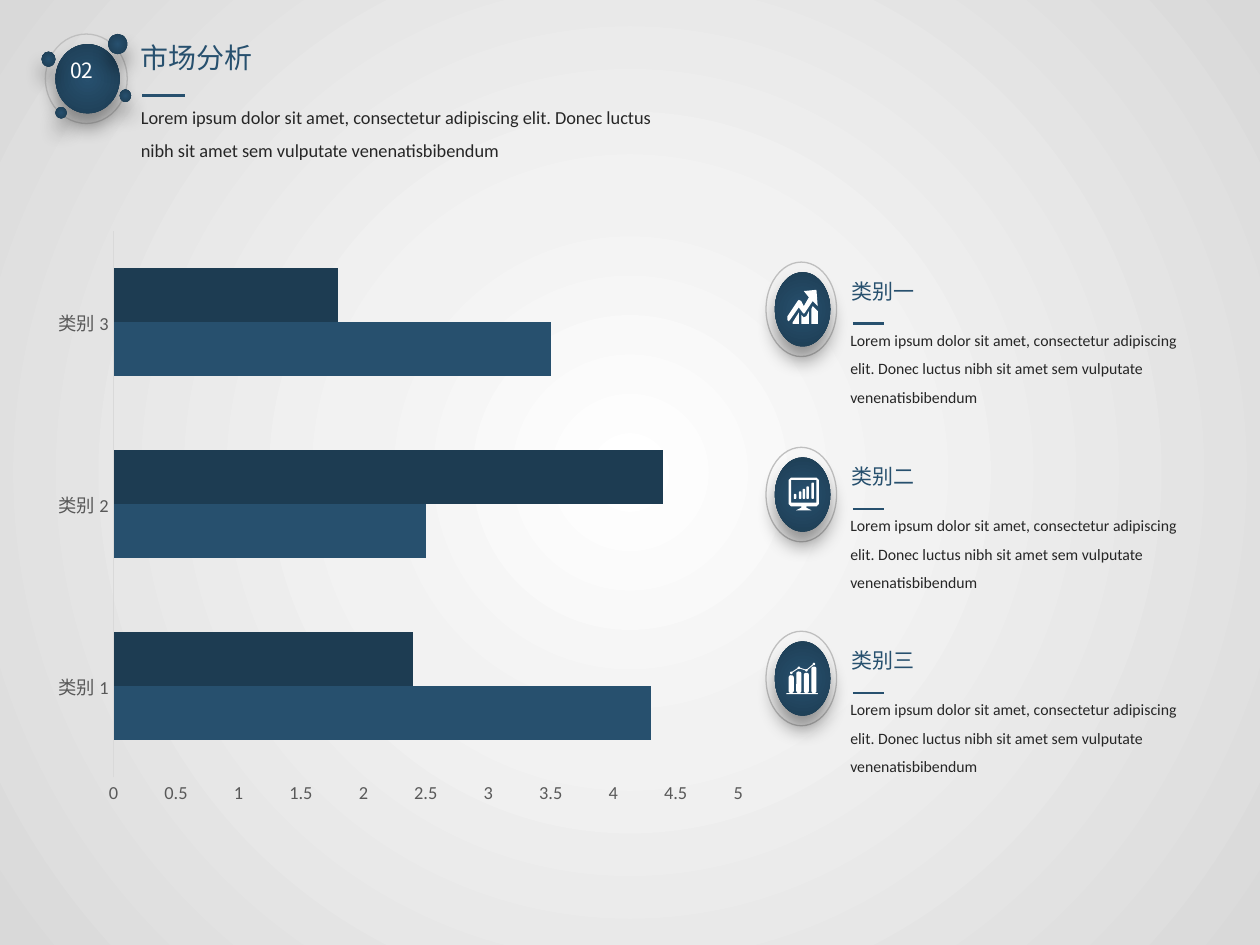
from itertools import pairwise

from lxml import etree
from pptx import Presentation
from pptx.chart.data import CategoryChartData
from pptx.dml.color import RGBColor
from pptx.enum.chart import XL_CHART_TYPE, XL_TICK_MARK
from pptx.enum.shapes import MSO_CONNECTOR, MSO_SHAPE
from pptx.enum.text import MSO_AUTO_SIZE
from pptx.oxml.ns import qn
from pptx.util import Inches, Pt

OVAL = MSO_SHAPE.OVAL
ROUNDED = MSO_SHAPE.ROUNDED_RECTANGLE
STRAIGHT = MSO_CONNECTOR.STRAIGHT
BAR = XL_CHART_TYPE.BAR_CLUSTERED
NO_TICK = XL_TICK_MARK.NONE
FIT_SHAPE = MSO_AUTO_SIZE.SHAPE_TO_FIT_TEXT
CJK_FONT, LATIN_FONT = "Noto Sans CJK SC", "Calibri"

COLORS = {
    "blue": "27506E", "navy": "1D3C52", "ring": "BFBFBF", "body": "262626",
    "label": "595959", "axis": "D9D9D9", "white": "FFFFFF", "pale": "F2F2F2", "black": "000000",
}
BADGE_STOPS = [(0, "blue"), (100, "navy")]
BACKGROUND_STOPS = [(0, "white"), (35, "pale"), (100, "axis")]

LOREM = ("Lorem ipsum dolor sit amet, consectetur adipiscing elit. "
         "Donec luctus nibh sit amet sem vulputate venenatisbibendum")
CATEGORIES = ["类别 1", "类别 2", "类别 3"]
SERIES = [("Series 1", "blue", (4.3, 2.5, 3.5)), ("Series 2", "navy", (2.4, 4.4, 1.8))]

HEADER_RING = (0.36, 0.27, 0.65, 0.71)
HEADER_DISCS = [(0.44, 0.35, 0.51, 0.55), (0.86, 0.27, 0.15, 0.16), (0.33, 0.41, 0.11, 0.12),
                (0.44, 0.85, 0.09, 0.09), (0.95, 0.71, 0.09, 0.1)]

GROWTH_ICON = {
    "outlines": [
        [[(6.45, 2.43), (6.44, 2.45), (6.44, 2.57), (6.49, 2.57), (6.49, 2.47)]],
        [[(6.25, 2.54), (6.25, 2.51), (6.33, 2.39), (6.34, 2.38), (6.36, 2.39), (6.38, 2.43),
          (6.42, 2.36), (6.38, 2.31), (6.48, 2.3), (6.49, 2.43), (6.45, 2.39), (6.39, 2.48),
          (6.38, 2.49), (6.37, 2.48), (6.34, 2.44), (6.27, 2.54), (6.26, 2.55)]],
        [[(6.36, 2.5), (6.38, 2.52), (6.4, 2.51), (6.42, 2.47), (6.42, 2.57), (6.36, 2.57)]],
        [[(6.29, 2.57), (6.34, 2.57), (6.34, 2.48), (6.29, 2.56)]],
    ],
}
MONITOR_ICON = {
    "outlines": [
        [[(6.28, 3.79), (6.48, 3.79), (6.5, 3.81), (6.5, 4), (6.48, 4.02), (6.4, 4.02),
          (6.4, 4.03), (6.44, 4.05), (6.32, 4.05), (6.36, 4.03), (6.36, 4.02), (6.28, 4.02),
          (6.26, 4), (6.26, 3.81)],
         [(6.28, 3.81), (6.28, 3.99), (6.48, 3.99), (6.48, 3.81)]],
    ],
    "bars": [(left, top, 0.02, 3.96 - top) for left, top in
             [(6.3, 3.92), (6.34, 3.9), (6.37, 3.88), (6.4, 3.86), (6.44, 3.83)]],
}
BARS_ICON = {
    "bars": [(6.24, 5.5, 0.25, 0.01)] + [
        (left, top, 0.04, 5.5 - top) for left, top in
        [(6.26, 5.36), (6.32, 5.33), (6.38, 5.34), (6.44, 5.29)]],
    "trend": [(6.28, 5.34), (6.34, 5.3), (6.4, 5.32), (6.46, 5.27)],
}
ITEMS = [
    (2.08, "类别一", CJK_FONT, GROWTH_ICON),
    (3.55, "类别二", CJK_FONT, MONITOR_ICON),
    (5.01, "类别三", "Arial", BARS_ICON),
]


def color(name):
    return RGBColor.from_string(COLORS[name])


def box(values):
    return [Inches(value) for value in values]


def set_radial_gradient(owner, fill, stops):
    fill.gradient()
    gradient = owner.find(".//" + qn("a:gradFill"))
    for child in list(gradient):
        gradient.remove(child)
    stop_list = etree.SubElement(gradient, qn("a:gsLst"))
    for position, name in stops:
        stop = etree.SubElement(stop_list, qn("a:gs"), pos=str(position * 1000))
        etree.SubElement(stop, qn("a:srgbClr"), val=COLORS[name])
    route = etree.SubElement(gradient, qn("a:path"), **{"path": "circle"})
    etree.SubElement(route, qn("a:fillToRect"), **dict.fromkeys("ltrb", "50000"))


def add_shadow(shape):
    effects = shape._element.spPr.find(qn("a:effectLst"))
    shadow = etree.SubElement(effects, qn("a:outerShdw"), blurRad=str(Pt(11)), dist=str(Pt(8)),
                              dir="5400000", algn="t", rotWithShape="0")
    shade = etree.SubElement(shadow, qn("a:srgbClr"), val=COLORS["black"])
    etree.SubElement(shade, qn("a:alpha"), val="40000")


def style_white(shape):
    shape.shadow.inherit = False
    shape.fill.solid()
    shape.fill.fore_color.rgb = color("white")
    shape.line.fill.background()


def add_badge(shapes, ring_position, disc_positions):
    group = shapes.add_group_shape()
    ring = group.shapes.add_shape(OVAL, *box(ring_position))
    ring.shadow.inherit = False
    ring.fill.background()
    ring.line.color.rgb = color("ring")
    ring.line.width = Pt(0.75)
    for position in disc_positions:
        disc = group.shapes.add_shape(OVAL, *box(position))
        disc.shadow.inherit = False
        set_radial_gradient(disc._element.spPr, disc.fill, BADGE_STOPS)
        disc.line.fill.background()
        add_shadow(disc)


def add_line(shapes, start, end, color_name="blue", width=1.5):
    line = shapes.add_connector(STRAIGHT, *box(start + end))
    line.line.color.rgb = color(color_name)
    line.line.width = Pt(width)
    etree.SubElement(line._element.spPr, qn("a:effectLst"))


def add_text(shapes, position, text, size, font, color_name, wrap=True, spacing=None):
    frame = shapes.add_textbox(*box(position)).text_frame
    frame.word_wrap = wrap
    frame.auto_size = FIT_SHAPE
    paragraph = frame.paragraphs[0]
    paragraph.line_spacing = spacing
    run = paragraph.add_run()
    run.text = text
    for name, value in {"size": Pt(size), "name": font}.items():
        setattr(run.font, name, value)
    run.font.color.rgb = color(color_name)
    etree.SubElement(run._r.get_or_add_rPr(), qn("a:ea"), typeface=CJK_FONT)


def add_icon(shapes, icon):
    group = shapes.add_group_shape().shapes
    for contours in icon.get("outlines", []):
        builder = group.build_freeform(*box(contours[0][0]))
        for index, contour in enumerate(contours):
            if index:
                builder.move_to(*box(contour[0]))
            builder.add_line_segments([box(point) for point in contour[1:]], close=True)
        style_white(builder.convert_to_shape())
    for position in icon.get("bars", []):
        bar = group.add_shape(ROUNDED, *box(position))
        bar.adjustments[0] = 0.4
        style_white(bar)
    trend = icon.get("trend", [])
    for start, end in pairwise(trend):
        add_line(group, start, end, "white", 0.5)
    for x, y in trend:
        style_white(group.add_shape(OVAL, *box((x - 0.01, y - 0.01, 0.02, 0.02))))


def add_bar_chart(shapes):
    data = CategoryChartData()
    data.categories = CATEGORIES
    for name, _, values in SERIES:
        data.add_series(name, values)
    chart = shapes.add_chart(BAR, *box((0.35, 1.74, 5.66, 4.74)), data).chart
    for name, value in {"has_legend": False, "has_title": False}.items():
        setattr(chart, name, value)
    chart.font.size, chart.font.name = Pt(10), LATIN_FONT
    plot = chart.plots[0]
    for name, value in {"gap_width": 138, "overlap": 0, "vary_by_categories": False}.items():
        setattr(plot, name, value)
    for series, (_, color_name, _) in zip(plot.series, SERIES):
        series.format.fill.solid()
        series.format.fill.fore_color.rgb = color(color_name)
    axis_format = {"major_tick_mark": NO_TICK, "minor_tick_mark": NO_TICK,
                   "has_major_gridlines": False}
    for axis in (chart.category_axis, chart.value_axis):
        for name, value in axis_format.items():
            setattr(axis, name, value)
        font = axis.tick_labels.font
        font.size, font.name = Pt(10.5), LATIN_FONT
        font.color.rgb = color("label")
    chart.category_axis.format.line.color.rgb = color("axis")
    chart.category_axis.format.line.width = Pt(0.75)
    value_axis = chart.value_axis
    value_axis.format.line.fill.background()
    for name, value in {"minimum_scale": 0, "maximum_scale": 5, "major_unit": 0.5}.items():
        setattr(value_axis, name, value)


def main():
    presentation = Presentation()
    presentation.slide_width, presentation.slide_height = Inches(10), Inches(7.5)
    slide = presentation.slides.add_slide(presentation.slide_layouts[6])
    set_radial_gradient(slide._element, slide.background.fill, BACKGROUND_STOPS)
    shapes = slide.shapes
    add_badge(shapes, HEADER_RING, HEADER_DISCS)
    add_text(shapes, (1.02, 0.27, 1.1, 0.37), "市场分析", 16, CJK_FONT, "blue", wrap=False)
    add_text(shapes, (1.02, 0.71, 4.47, 0.63), LOREM, 10.5, LATIN_FONT, "body", spacing=1.5)
    add_line(shapes, (1.13, 0.76), (1.47, 0.76))
    add_text(shapes, (0.46, 0.41, 0.46, 0.3), "02", 12, CJK_FONT, "white")
    add_bar_chart(shapes)
    for top, title, font, icon in ITEMS:
        add_badge(shapes, (6.08, top, 0.56, 0.75), [(6.15, top + 0.08, 0.44, 0.59)])
        add_text(shapes, (6.65, top + 0.42, 2.97, 0.78), LOREM, 9, LATIN_FONT, "body", spacing=1.5)
        add_text(shapes, (6.66, top + 0.08, 1.9, 0.3), title, 12, font, "blue")
        add_line(shapes, (6.77, top + 0.49), (7.02, top + 0.49))
        add_icon(shapes, icon)
    presentation.save("out.pptx")


if __name__ == "__main__":
    main()
